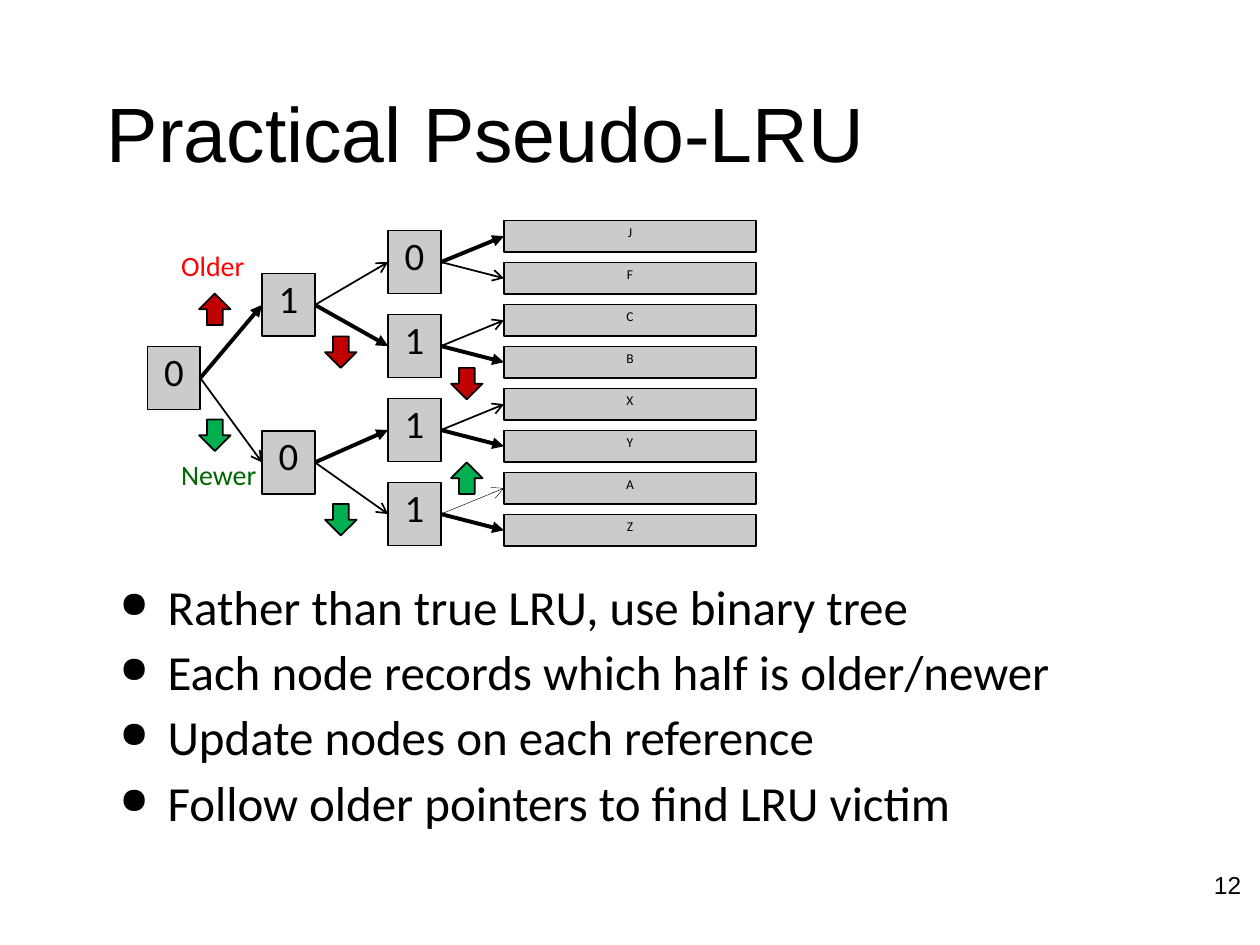
import dataclasses

import pptx
import pptx.dml.color
import pptx.enum.shapes
import pptx.enum.text
import pptx.oxml.ns
import pptx.util
from lxml import etree

Inches = pptx.util.Inches
Shapes = pptx.enum.shapes.MSO_SHAPE
Align = pptx.enum.text.PP_ALIGN
Anchor = pptx.enum.text.MSO_ANCHOR
qn = pptx.oxml.ns.qn


@dataclasses.dataclass(frozen=True)
class Theme:
    black: str = "000000"
    box: str = "CBCBCB"
    older_text: str = "FF0000"
    newer_text: str = "006600"
    older: str = "C00000"
    newer: str = "00B050"
    heading_font: str = "Arial"
    body_font: str = "Calibri"
    title_size: float = 44
    bullet_size: float = 28
    label_size: float = 16
    number_size: float = 14
    node_size: float = 22.2
    block_size: float = 7.7
    thin: float = 1
    thick: float = 2.25
    hairline: float = 0.25


THEME = Theme()

NODE_WIDTH, NODE_HEIGHT = 0.42, 0.5
BLOCK_LEFT, BLOCK_WIDTH, BLOCK_HEIGHT = 4, 2, 0.25
BLOCK_TOP, BLOCK_PITCH = 1.75, 1 / 3
ARROW_SIZE = 0.25

TREE_LEVELS = [
    (1.17, 2.75, 0, "0"),
    (2.08, 2.17, 1.25, "10"),
    (3.08, 1.83, 2 / 3, "0111"),
]
BLOCKS = "JFCBXYAZ"
FAINT_BLOCK = "A"
BULLETS = [
    "Rather than true LRU, use binary tree",
    "Each node records which half is older/newer",
    "Update nodes on each reference",
    "Follow older pointers to find LRU victim",
]
DIRECTION_ARROWS = [
    (1.58, 2.33, THEME.older, False),
    (2.58, 2.67, THEME.older, True),
    (3.58, 2.92, THEME.older, True),
    (1.58, 3.33, THEME.newer, True),
    (2.58, 4, THEME.newer, True),
    (3.58, 3.67, THEME.newer, False),
]


def color(value):
    return pptx.dml.color.RGBColor.from_string(value)


def style_font(paragraph, size, name=THEME.body_font, text_color=THEME.black):
    for run in paragraph.runs:
        run.font.size = pptx.util.Pt(size)
        run.font.name = name
        run.font.color.rgb = color(text_color)


def add_shape(slide, kind, left, top, width, height, fill):
    shape = slide.shapes.add_shape(
        kind, Inches(left), Inches(top), Inches(width), Inches(height))
    shape.shadow.inherit = False
    shape.fill.solid()
    shape.fill.fore_color.rgb = color(fill)
    shape.line.color.rgb = color(THEME.black)
    shape.line.width = pptx.util.Pt(THEME.thin)
    return shape


def add_box(slide, text, left, top, width, height, size, line_spacing):
    shape = add_shape(slide, Shapes.RECTANGLE, left, top, width, height, THEME.box)
    shape.text_frame.text = text
    shape.text_frame.vertical_anchor = Anchor.TOP
    paragraph = shape.text_frame.paragraphs[0]
    paragraph.alignment = Align.CENTER
    paragraph.line_spacing = line_spacing
    style_font(paragraph, size)
    return shape


def add_text(slide, text, left, top, width, height, size, wrap=False,
             anchor=Anchor.TOP, alignment=Align.LEFT, **font):
    text_box = slide.shapes.add_textbox(
        Inches(left), Inches(top), Inches(width), Inches(height))
    text_frame = text_box.text_frame
    text_frame.word_wrap = wrap
    text_frame.vertical_anchor = anchor
    text_frame.text = text
    for paragraph in text_frame.paragraphs:
        paragraph.alignment = alignment
        style_font(paragraph, size, **font)
    return text_frame


def add_bullets(slide):
    text_frame = add_text(slide, "\n".join(BULLETS), 0.75, 4.58, 8.5, 2.67,
                          THEME.bullet_size, wrap=True)
    text_frame.margin_left = text_frame.margin_right = Inches(0.2)
    for index, paragraph in enumerate(text_frame.paragraphs):
        paragraph.line_spacing = 0.9
        paragraph.space_before = pptx.util.Pt(7 if index else 0)
        properties = paragraph._p.get_or_add_pPr()
        properties.set("marL", str(Inches(0.38)))
        properties.set("indent", str(-Inches(0.38)))
        bullet_color = etree.SubElement(properties, qn("a:buClr"))
        etree.SubElement(bullet_color, qn("a:srgbClr"), val=THEME.black)
        etree.SubElement(properties, qn("a:buSzPct"), val="75000")
        etree.SubElement(properties, qn("a:buChar"), char="●")


def add_pointer(slide, parent, child, is_older, width):
    connector = slide.shapes.add_connector(
        pptx.enum.shapes.MSO_CONNECTOR.STRAIGHT, 0, 0, 0, 0)
    connector.begin_connect(parent, 3)
    connector.end_connect(child, 1)
    connector.line.color.rgb = color(THEME.black)
    connector.line.width = pptx.util.Pt(width)
    etree.SubElement(connector.line._get_or_add_ln(), qn("a:tailEnd"),
                     type="triangle" if is_older else "arrow")
    etree.SubElement(connector._element.spPr, qn("a:effectLst"))


def add_tree(slide):
    levels = [
        [add_box(slide, bit, left, top + index * pitch, NODE_WIDTH, NODE_HEIGHT,
                 THEME.node_size, 0.9) for index, bit in enumerate(bits)]
        for left, top, pitch, bits in TREE_LEVELS
    ]
    levels.append([
        add_box(slide, name, BLOCK_LEFT, BLOCK_TOP + index * BLOCK_PITCH,
                BLOCK_WIDTH, BLOCK_HEIGHT, THEME.block_size, 0.8)
        for index, name in enumerate(BLOCKS)
    ])
    for parents, children in zip(levels, levels[1:]):
        for index, child in enumerate(children):
            parent = parents[index // 2]
            is_older = int(parent.text_frame.text) == index % 2
            width = THEME.thick if is_older else THEME.thin
            if child.text_frame.text == FAINT_BLOCK:
                width = THEME.hairline
            add_pointer(slide, parent, child, is_older, width)


def add_direction_arrow(slide, left, top, fill, points_down):
    arrow = add_shape(slide, Shapes.UP_ARROW, left, top, ARROW_SIZE, ARROW_SIZE, fill)
    if points_down:
        arrow._element.spPr.find(qn("a:xfrm")).set("flipV", "1")


def main():
    presentation = pptx.Presentation()
    presentation.slide_width = Inches(10)
    presentation.slide_height = Inches(7.5)
    slide = presentation.slides.add_slide(presentation.slide_layouts[6])

    add_text(slide, "Practical Pseudo-LRU", 0.75, 0.67, 8.84, 0.75, THEME.title_size,
             wrap=True, anchor=Anchor.MIDDLE, name=THEME.heading_font)
    add_bullets(slide)
    number = add_text(slide, "12", 7.87, 6.72, 2.08, 0.42, THEME.number_size,
                      anchor=Anchor.BOTTOM, alignment=Align.RIGHT,
                      name=THEME.heading_font)
    number.margin_top = number.margin_bottom = 0
    add_tree(slide)
    for arrow in DIRECTION_ARROWS:
        add_direction_arrow(slide, *arrow)
    add_text(slide, "Older", 1.34, 1.92, 0.7, 0.37, THEME.label_size,
             text_color=THEME.older_text)
    add_text(slide, "Newer", 1.34, 3.58, 0.8, 0.37, THEME.label_size,
             text_color=THEME.newer_text)

    presentation.save("out.pptx")


if __name__ == "__main__":
    main()
